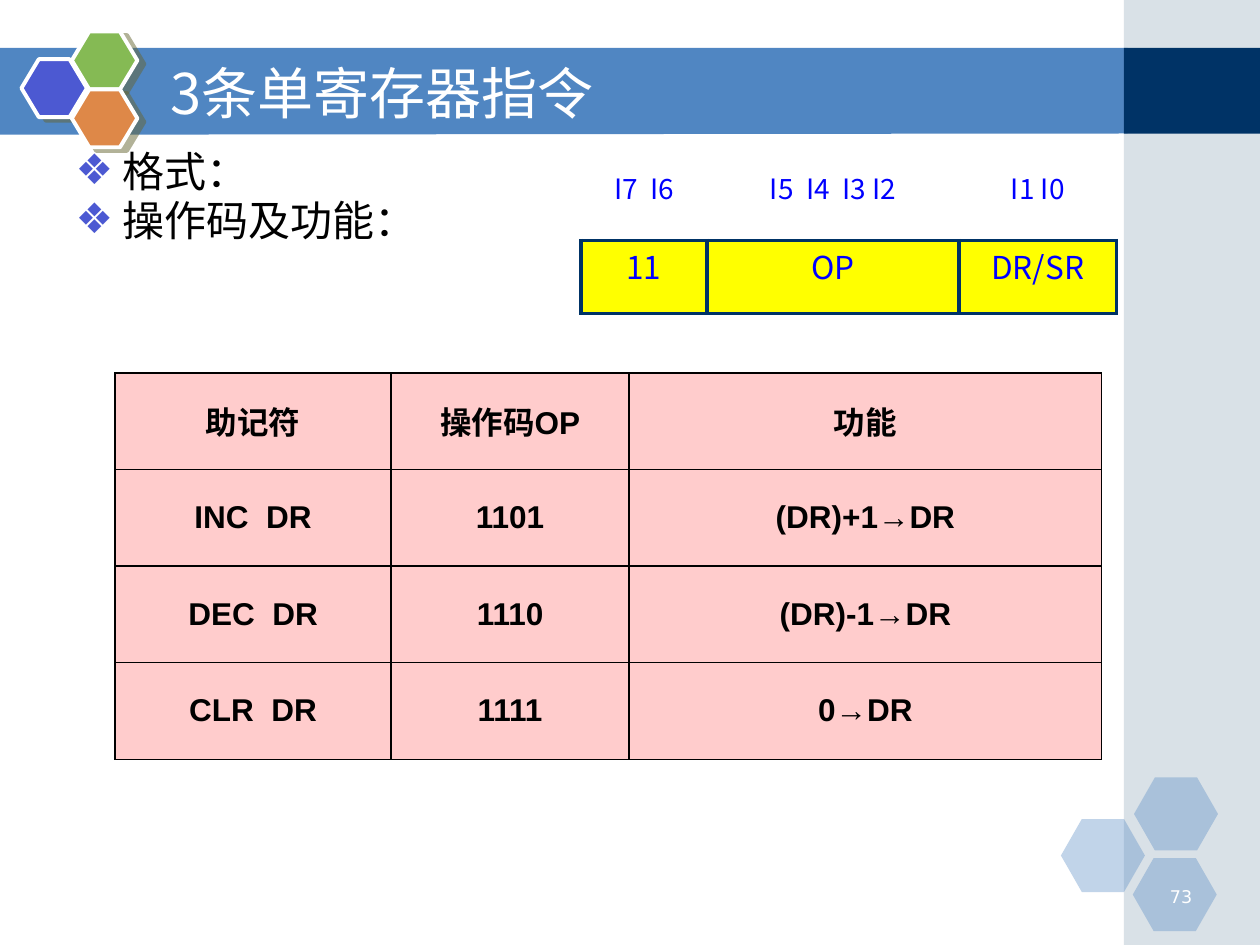
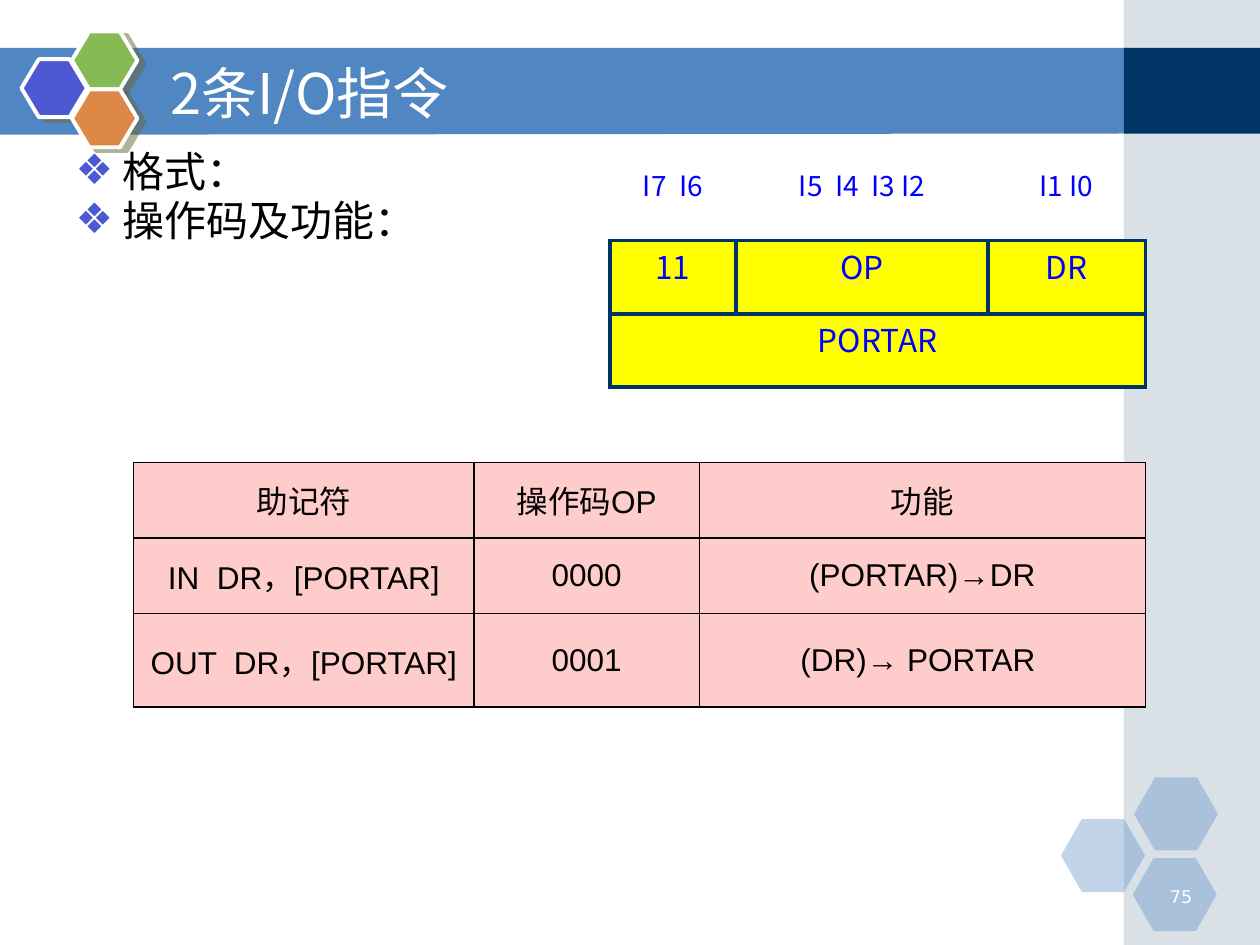
"""Build two slides on single-register and I/O instruction formats."""
from lxml import etree
from pptx import Presentation
from pptx import util as u
from pptx.dml.color import RGBColor
from pptx.enum import shapes, text
from pptx.oxml import ns

WHITE = RGBColor(255, 255, 255)
BLACK = RGBColor(0, 0, 0)
BLUE = RGBColor(0x50, 0x86, 0xC2)
NAVY = RGBColor(0x00, 0x33, 0x66)
GREY = RGBColor(0xA0, 0xB5, 0xC4)
VIOLET = RGBColor(0x4C, 0x59, 0xD2)
GREEN = RGBColor(0x85, 0xBA, 0x54)
ORANGE = RGBColor(0xDE, 0x88, 0x48)
INK = RGBColor(0, 0, 255)
YELLOW = RGBColor(255, 255, 0)
PINK = RGBColor(255, 0xCC, 0xCC)
NOTO = "Noto Sans CJK SC"
RECT = shapes.MSO_SHAPE.RECTANGLE
HEX = shapes.MSO_SHAPE.HEXAGON
A = "http://schemas.openxmlformats.org/drawingml/2006/main"

PANELS = [
    (RECT, 642.24, 0, 77.76, 540, GREY, 40),
    (RECT, 642.24, 27.36, 77.76, 49, NAVY, 100),
    (HEX, 606.24, 468, 48, 41.76, BLUE, 35),
    (HEX, 648, 444.24, 48, 41.76, BLUE, 35),
    (HEX, 647.28, 490.32, 48, 41.76, BLUE, 35),
]
BADGE = [(12.24, 33.84, VIOLET), (41.04, 18, GREEN), (41.04, 51.12, ORANGE)]
LIST = ["格式：", "操作码及功能："]
BITS = ["I7  I6", "I5  I4  I3 I2", "I1 I0"]
HEAD = ["助记符", "操作码OP", "功能"]

PAGES = [
    dict(
        title="3条单寄存器指令", num="73", bold=True,
        word=(332, 94.3, [43.2, 41.76], [BITS, ["11", "OP", "DR/SR"]]),
        ops=(65.8, 213.1, [157.68, 136.08, 270], 55.2, [
            HEAD,
            ["INC  DR", "1101", "(DR)+1→DR"],
            ["DEC  DR", "1110", "(DR)-1→DR"],
            ["CLR  DR", "1111", "0→DR"],
        ]),
    ),
    dict(
        title="2条I/O指令", num="75", bold=False,
        word=(348.5, 92.2, [45.36, 41.76, 41.76],
              [BITS, ["11", "OP", "DR"], ["PORTAR", "", ""]]),
        ops=(76.4, 264.2, [194.4, 128.88, 254.88], 43.2, [
            HEAD,
            ["IN  DR，[PORTAR]", "0000", "(PORTAR)→DR"],
            ["OUT  DR，[PORTAR]", "0001", "(DR)→ PORTAR "],
        ]),
    ),
]


def style(para, size, font, ink, align, bold=False):
    """Format the runs of a paragraph."""
    para.alignment = align
    for run in para.runs:
        run.font.size = u.Pt(size)
        run.font.bold = bold
        run.font.color.rgb = ink
        run.font.name = font
        etree.SubElement(run.font._element, ns.qn("a:ea"), typeface=NOTO)


def dress(cell, fill, ink, width, sides):
    """Draw the named sides of a cell, then fill it."""
    props = cell._tc.get_or_add_tcPr()
    for side in "LRTB":
        line = etree.SubElement(props, ns.qn(f"a:ln{side}"), w=str(u.Pt(width)))
        if side in sides:
            solid = etree.SubElement(line, ns.qn("a:solidFill"))
            etree.SubElement(solid, ns.qn("a:srgbClr"), val=str(ink))
        else:
            etree.SubElement(line, ns.qn("a:noFill"))
    if fill is None:
        cell.fill.background()
    else:
        cell.fill.solid()
        cell.fill.fore_color.rgb = fill


LEFT, MID, RIGHT = text.PP_ALIGN.LEFT, text.PP_ALIGN.CENTER, text.PP_ALIGN.RIGHT
deck = Presentation()
deck.slide_width, deck.slide_height = u.Pt(720), u.Pt(540)

for page in PAGES:
    slide = deck.slides.add_slide(deck.slide_layouts[1])
    draw = slide.shapes

    path = draw.build_freeform(u.Pt(-0.72), u.Pt(27.36), scale=1.0)
    path.add_line_segments(
        [(u.Pt(x), u.Pt(y)) for x, y in [(644.4, 27.36), (644.4, 76.3), (-0.72, 77)]])
    band = path.convert_to_shape()
    band.shadow.inherit = False
    band.fill.solid()
    band.fill.fore_color.rgb = BLUE
    band.line.fill.background()

    for kind, x, y, w, h, hue, alpha in PANELS:
        panel = draw.add_shape(kind, u.Pt(x), u.Pt(y), u.Pt(w), u.Pt(h))
        panel.shadow.inherit = False
        panel.fill.solid()
        panel.fill.fore_color.rgb = hue
        panel.line.fill.background()
        if kind == HEX:
            panel.adjustments[0] = 0.286
        if alpha < 100:
            tint = next(panel.element.iter(ns.qn("a:srgbClr")))
            etree.SubElement(tint, ns.qn("a:alpha"), val=str(alpha * 1000))

    for x, y, hue in BADGE:
        cell = draw.add_shape(HEX, u.Pt(x), u.Pt(y), u.Pt(37.44), u.Pt(33.12))
        cell.adjustments[0] = 0.3
        cell.fill.solid()
        cell.fill.fore_color.rgb = hue
        cell.line.color.rgb = WHITE
        cell.line.width = u.Pt(2.25)
        cell.shadow.inherit = False
        glow = next(cell.element.iter(ns.qn("a:effectLst")))
        glow.append(etree.fromstring(
            f'<a:outerShdw xmlns:a="{A}" dist="{u.Pt(4.5)}" dir="1620000" '
            'algn="ctr" rotWithShape="0"><a:srgbClr val="666633">'
            '<a:alpha val="50000"/></a:srgbClr></a:outerShdw>'))

    num = draw.add_textbox(u.Pt(652.3), u.Pt(502.6), u.Pt(36), u.Pt(18))
    num.text_frame.word_wrap = True
    num.text_frame.text = page["num"]
    style(num.text_frame.paragraphs[0], 10, "DejaVu Sans", WHITE, RIGHT)

    title, body = draw.title, slide.placeholders[1]
    for box, x, y, w, h in [(title, 90, 30.24, 527.76, 44.64),
                            (body, 36, 85, 282.24, 115.92)]:
        box.left, box.top, box.width, box.height = u.Pt(x), u.Pt(y), u.Pt(w), u.Pt(h)
        box.text_frame.auto_size = text.MSO_AUTO_SIZE.NONE
        box.element.getparent().append(box.element)
    title.text_frame.text = page["title"]
    title.text_frame.vertical_anchor = text.MSO_ANCHOR.MIDDLE
    style(title.text_frame.paragraphs[0], 32, NOTO, WHITE, LEFT)

    body.text_frame.text = "\n".join(LIST)
    for i, para in enumerate(body.text_frame.paragraphs):
        props = para._p.get_or_add_pPr()
        props.set("marL", str(u.Pt(27)))
        props.set("indent", str(u.Pt(-27)))
        tint = etree.SubElement(props, ns.qn("a:buClr"))
        etree.SubElement(tint, ns.qn("a:srgbClr"), val=str(VIOLET))
        etree.SubElement(props, ns.qn("a:buChar"), char="❖")
        para.line_spacing = 0.8
        para.space_before = u.Pt(4.8 if i else 0)
        style(para, 24, NOTO, BLACK, LEFT)

    x, y, highs, word = page["word"]
    left, top, wides, high, ops = page["ops"]
    for x, y, wides, highs, rows, is_word in [
            (x, y, [72, 144, 90], highs, word, True),
            (left, top, wides, [high] * len(ops), ops, False)]:
        grid = draw.add_table(len(rows), 3, u.Pt(x), u.Pt(y),
                              u.Pt(sum(wides)), u.Pt(sum(highs))).table
        grid.first_row = grid.horz_banding = False
        for col, wide in zip(grid.columns, wides):
            col.width = u.Pt(wide)
        for r, row in enumerate(rows):
            grid.rows[r].height = u.Pt(highs[r])
            for c, word in enumerate(row):
                cell = grid.cell(r, c)
                cell.text_frame.text = word
                para = cell.text_frame.paragraphs[0]
                if is_word:
                    cell.margin_left = cell.margin_right = u.Pt(1.44)
                    cell.margin_top = cell.margin_bottom = u.Pt(1.44)
                    style(para, 18 if r else 16, NOTO, INK, MID)
                    dress(cell, YELLOW if r else None, NAVY, 2.25, "LRTB" if r else "B")
                else:
                    cell.vertical_anchor = text.MSO_ANCHOR.MIDDLE
                    style(para, 18, "Arial", BLACK, MID, page["bold"])
                    dress(cell, PINK, BLACK, 1, "LRTB")
        if is_word and len(rows) == 3:
            grid.cell(2, 0).merge(grid.cell(2, 2))

deck.save("out.pptx")
